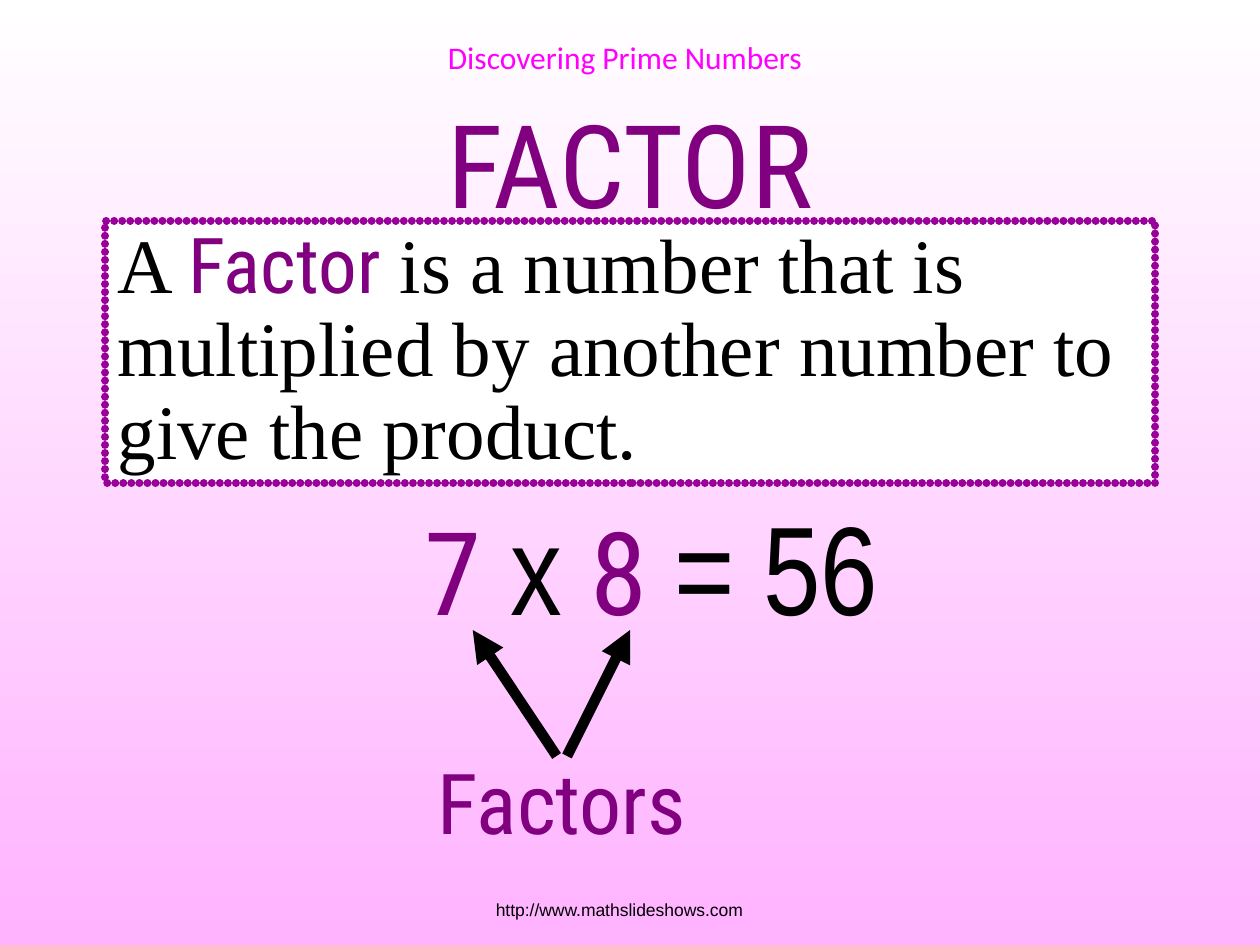
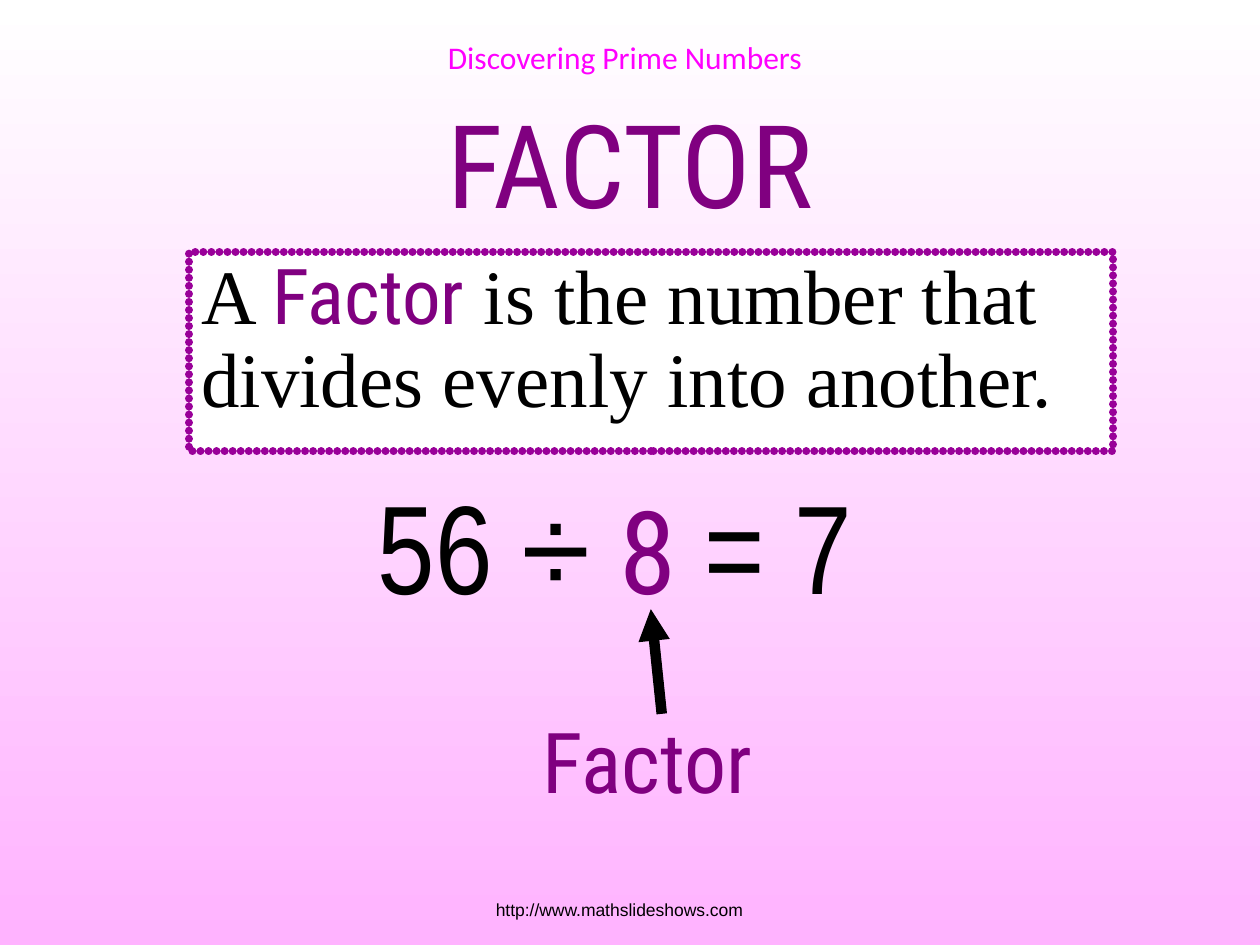
from dataclasses import dataclass

from lxml import etree
from pptx import Presentation
from pptx.dml.color import RGBColor
from pptx.enum.shapes import MSO_CONNECTOR, MSO_SHAPE
from pptx.enum.text import MSO_ANCHOR, PP_ALIGN
from pptx.oxml.ns import qn
from pptx.util import Cm, Pt

LEFT, CENTER = PP_ALIGN.LEFT, PP_ALIGN.CENTER
TOP, MIDDLE = MSO_ANCHOR.TOP, MSO_ANCHOR.MIDDLE
STRAIGHT = MSO_CONNECTOR.STRAIGHT
RECTANGLE = MSO_SHAPE.RECTANGLE
BLANK_LAYOUT = 6


@dataclass(frozen=True)
class Style:
    font: str
    size: int
    color: RGBColor


@dataclass(frozen=True)
class Theme:
    white = RGBColor(0xFF, 0xFF, 0xFF)
    pink = RGBColor(0xFF, 0xB3, 0xFF)
    black = RGBColor(0, 0, 0)
    purple = RGBColor(0x80, 0, 0x80)
    border = RGBColor(0x99, 0, 0x99)
    border_width = 4.5
    arrow_width = 6
    header = Style("Calibri", 18, RGBColor(0xFF, 0, 0xFF))
    footer = Style("Arial", 10, black)
    title = Style("Roboto Condensed", 66, purple)
    definition = Style("Times New Roman", 44, black)
    term = Style("Roboto Condensed", 44, purple)
    equation = Style("Arial Narrow", 72, black)
    factor = Style("Roboto Condensed", 66, purple)
    label = Style("Roboto Condensed", 48, purple)


THEME = Theme()


def apply_style(font, style):
    font.name = style.font
    font.size = Pt(style.size)
    font.color.rgb = style.color


def write_spans(paragraph, spans):
    """Fill a paragraph from (text, style) pairs."""
    for text, style in spans:
        span = paragraph.add_run()
        span.text = text
        if len(spans) > 1:
            apply_style(span.font, style)
    if len(spans) == 1:
        apply_style(paragraph.font, spans[0][1])


def add_text(page, place, spans, wrap=False, anchor=TOP):
    box = page.shapes.add_textbox(*map(Cm, place))
    frame = box.text_frame
    frame.word_wrap = wrap
    frame.vertical_anchor = anchor
    paragraph = frame.paragraphs[0]
    paragraph.alignment = CENTER
    write_spans(paragraph, spans)


def set_beaded_line(shape):
    """Draw the outline as round dots that touch each other."""
    shape.line.color.rgb = THEME.border
    shape.line.width = Pt(THEME.border_width)
    line = shape.line._get_or_add_ln()
    line.set("cap", "rnd")
    dashes = etree.SubElement(line, qn("a:custDash"))
    etree.SubElement(dashes, qn("a:ds"), d="100000", sp="2000")


def add_definition(page, place, ending):
    """Add the dotted white panel that says what a factor is."""
    panel = page.shapes.add_shape(RECTANGLE, *map(Cm, place))
    panel.shadow.inherit = False
    panel.fill.solid()
    panel.fill.fore_color.rgb = THEME.white
    set_beaded_line(panel)
    frame = panel.text_frame
    frame.word_wrap = True
    frame.vertical_anchor = TOP
    paragraph = frame.paragraphs[0]
    paragraph.alignment = LEFT
    paragraph.line_spacing = 0.9
    write_spans(paragraph, [("A ", THEME.definition), ("Factor", THEME.term),
                            (ending, THEME.definition)])


def add_arrow(page, start, end):
    arrow = page.shapes.add_connector(STRAIGHT, *map(Cm, start + end))
    arrow.line.color.rgb = THEME.black
    arrow.line.width = Pt(THEME.arrow_width)
    line = arrow.line._get_or_add_ln()
    etree.SubElement(line, qn("a:tailEnd"), type="triangle")
    etree.SubElement(arrow._element.spPr, qn("a:effectLst"))


def add_page(deck):
    """Add a page with the shared background, header, footer and title."""
    page = deck.slides.add_slide(deck.slide_layouts[BLANK_LAYOUT])
    fill = page.background.fill
    fill.gradient()
    fill.gradient_angle = 270
    for stop, color in zip(fill.gradient_stops, (THEME.white, THEME.pink)):
        stop.color.rgb = color
    add_text(page, (2.54, 0.64, 20.12, 1.27),
             [("Discovering Prime Numbers", THEME.header)])
    add_text(page, (9.73, 18, 5.51, 0.69),
             [("http://www.mathslideshows.com", THEME.footer)])
    add_text(page, (1.9, 1.68, 21.6, 3.18), [("FACTOR", THEME.title)],
             wrap=True, anchor=MIDDLE)
    return page


def add_multiplication_page(deck):
    page = add_page(deck)
    add_definition(page, (2.12, 4.45, 21.17, 5.29),
                   " is a number that is multiplied by another number"
                   " to give the product.")
    add_text(page, (8.16, 9.74, 9.94, 3.3),
             [("7", THEME.factor), (" x ", THEME.equation),
              ("8 ", THEME.factor), ("= 56", THEME.equation)])
    add_text(page, (8.18, 15, 6.3, 2.3), [("Factors", THEME.label)])
    add_arrow(page, (11.22, 15.24), (9.53, 12.7))
    add_arrow(page, (11.43, 15.24), (12.7, 12.7))


def add_division_page(deck):
    page = add_page(deck)
    add_definition(page, (3.81, 5.08, 18.63, 4.02),
                   " is the number that divides evenly into another.")
    add_text(page, (7.27, 9.33, 10.24, 3.3),
             [("56 ÷ ", THEME.equation), ("8", THEME.factor),
              (" = 7", THEME.equation)])
    add_arrow(page, (13.34, 14.39), (13.12, 12.28))
    add_text(page, (10.31, 14.18, 5.49, 2.3), [("Factor", THEME.label)])


def main():
    deck = Presentation()
    deck.slide_width, deck.slide_height = Cm(25.4), Cm(19.05)
    add_multiplication_page(deck)
    add_division_page(deck)
    deck.save("out.pptx")


if __name__ == "__main__":
    main()
